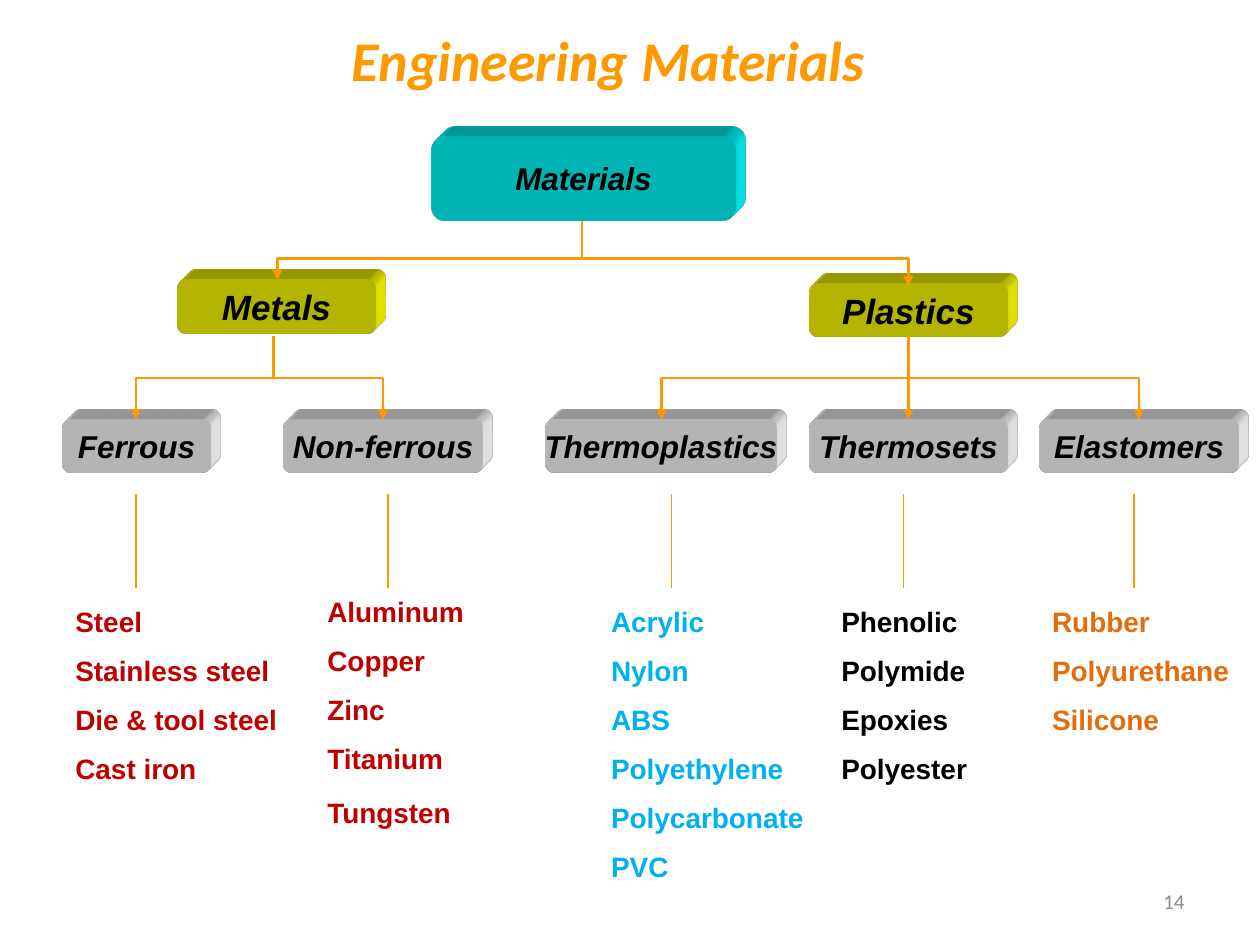
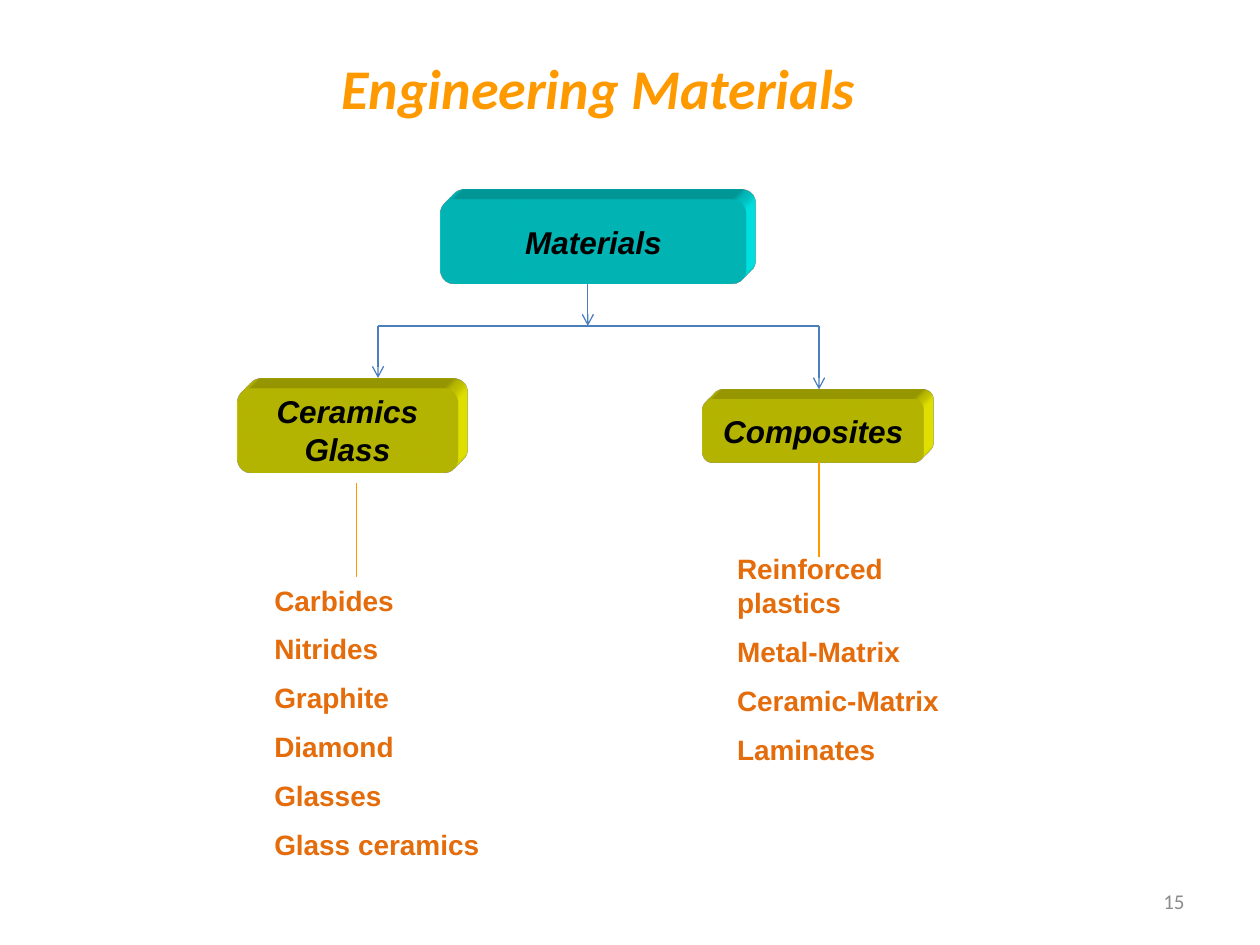
"""Builds two slides that chart the families of engineering materials."""
from lxml.etree import SubElement
from pptx import Presentation
from pptx.dml.color import RGBColor
from pptx.enum.shapes import MSO_CONNECTOR as Link, MSO_SHAPE as Preset
from pptx.enum.text import MSO_ANCHOR as Anchor, PP_ALIGN as Align
from pptx.oxml import parse_xml
from pptx.oxml.ns import nsdecls, qn
from pptx.util import Cm, Pt

ORANGE = RGBColor(0xFF, 0x99, 0x00)
BLUE = RGBColor(0x4B, 0x7E, 0xBC)
CYAN = RGBColor(0x00, 0xFF, 0xFF)
YELLOW = RGBColor(0xFF, 0xFF, 0x00)
WHITE = RGBColor(0xFF, 0xFF, 0xFF)
BLACK = RGBColor(0x00, 0x00, 0x00)
GRAY = RGBColor(0x8C, 0x8C, 0x8C)
RED = RGBColor(0xC0, 0x00, 0x00)
SKY = RGBColor(0x00, 0xB0, 0xF0)
RUST = RGBColor(0xE4, 0x6C, 0x0A)

SCENE = (
    '<a:scene3d {ns}><a:camera prst="legacyObliqueTopRight"/>'
    '<a:lightRig rig="legacyFlat3" dir="b"/></a:scene3d>'
)
SOLID = (
    '<a:sp3d {ns} extrusionH="201600" prstMaterial="legacyMatte">'
    '<a:bevelT w="13500" h="13500" prst="angle"/><a:bevelB w="13500" h="13500" prst="angle"/>'
    '<a:extrusionClr><a:srgbClr val="{color}"/></a:extrusionClr></a:sp3d>'
)


def write(frame, text, size=16, color=BLACK, font="Arial", bold=True, italic=False,
          align=Align.LEFT, anchor=Anchor.TOP, wrap=True, gap=0, last_gap=None):
    lines = text.split("\n")
    frame.word_wrap = wrap
    frame.vertical_anchor = anchor
    for index, line in enumerate(lines):
        para = frame.add_paragraph() if index else frame.paragraphs[0]
        para.alignment = align
        if index:
            is_last = index == len(lines) - 1
            para.space_before = Pt(last_gap if is_last and last_gap else gap)
        span = para.add_run()
        span.text = line
        span.font.name = font
        span.font.size = Pt(size)
        span.font.bold = bold
        span.font.italic = italic
        span.font.color.rgb = color


class Chart:
    def __init__(self, deck):
        self.deck = deck
        self.page = None

    def new_page(self, number, left, top):
        self.page = self.deck.slides.add_slide(self.deck.slide_layouts[5])
        title = self.page.shapes.title
        title.left, title.top, title.width, title.height = map(Cm, (left, top, 22.86, 1.98))
        write(title.text_frame, "Engineering Materials", size=32, color=ORANGE,
              font="Calibri", italic=True, align=Align.CENTER, anchor=Anchor.MIDDLE)
        box = self.page.shapes.add_textbox(Cm(18.21), Cm(17.65), Cm(5.92), Cm(1.02))
        write(box.text_frame, str(number), size=12, color=GRAY, font="Calibri",
              bold=False, align=Align.RIGHT, anchor=Anchor.MIDDLE)

    def block(self, text, left, top, width, height, fill, size=18):
        box = self.page.shapes.add_shape(
            Preset.ROUNDED_RECTANGLE, Cm(left), Cm(top), Cm(width), Cm(height))
        box.fill.solid()
        box.fill.fore_color.rgb = fill
        box.line.fill.background()
        box.shadow.inherit = False
        properties = box._element.spPr
        for effect in (SCENE, SOLID):
            properties.append(parse_xml(effect.format(ns=nsdecls("a"), color=fill)))
        write(box.text_frame, text, size=size, italic=True, align=Align.CENTER,
              anchor=Anchor.MIDDLE, wrap=False)
        return box

    def items(self, text, left, top, width, color, last_gap=None):
        height = 0.6 + 0.95 * text.count("\n") + 0.4
        box = self.page.shapes.add_textbox(Cm(left), Cm(top), Cm(width), Cm(height))
        write(box.text_frame, text, color=color, gap=8.75, last_gap=last_gap)

    def line(self, x1, y1, x2, y2, color=ORANGE, weight=0.75, head=None, kind=Link.STRAIGHT):
        link = self.page.shapes.add_connector(kind, Cm(x1), Cm(y1), Cm(x2), Cm(y2))
        link.line.color.rgb = color
        link.line.width = Pt(weight)
        if head:
            SubElement(link.line._get_or_add_ln(), qn("a:tailEnd"), type=head)
        SubElement(link._element.spPr, qn("a:effectLst"))
        return link

    def elbow(self, x1, y1, x2, y2, bend):
        middle_x, middle_y = (x1 + x2) / 2, (y1 + y2) / 2
        half_drop, half_span = (y2 - y1) / 2, abs(x2 - x1) / 2
        link = self.line(middle_x - half_drop, middle_y - half_span,
                         middle_x + half_drop, middle_y + half_span,
                         weight=1.5, head="triangle", kind=Link.ELBOW)
        properties = link._element.spPr
        frame = properties.find(qn("a:xfrm"))
        if x2 > x1:
            frame.set("rot", str(270 * 60000))
            frame.set("flipH", "1")
        else:
            frame.set("rot", str(90 * 60000))
        geometry = properties.find(qn("a:prstGeom"))
        guides = geometry.find(qn("a:avLst"))
        if guides is None:
            guides = SubElement(geometry, qn("a:avLst"))
        share = round(100000 * (bend - y1) / (y2 - y1))
        SubElement(guides, qn("a:gd"), name="adj1", fmla=f"val {share}")


def build_metals_and_plastics(chart):
    chart.new_page(14, 0.84, 0.2)
    chart.block("Materials", 8.69, 2.74, 6.15, 1.7, CYAN)
    chart.block("Metals", 3.58, 5.64, 3.99, 1.09, YELLOW, size=20)
    plastics = chart.block("Plastics", 16.31, 5.72, 4.01, 1.07, YELLOW, size=20)
    chart.elbow(11.73, 4.5, 18.31, 5.77, bend=5.21)
    chart.elbow(11.73, 4.45, 5.59, 5.64, bend=5.21)

    families = [
        ("Ferrous", 1.27, 2.97, 2.74, 1.27, 12.07, 4.88, RED, None,
         "Steel\nStainless steel\nDie & tool steel\nCast iron"),
        ("Non-ferrous", 5.72, 4.01, 7.82, 6.35, 11.86, 4.02, RED, 11.6,
         "Aluminum\nCopper\nZinc\nTitanium\nTungsten"),
        ("Thermoplastics", 11, 4.65, 13.54, 12.07, 12.07, 4.45, SKY, None,
         "Acrylic\nNylon\nABS\nPolyethylene\nPolycarbonate\nPVC"),
        ("Thermosets", 16.31, 4.01, 18.21, 16.71, 12.07, 3.61, BLACK, None,
         "Phenolic\nPolymide\nEpoxies\nPolyester"),
        ("Elastomers", 20.96, 4.01, 22.86, 20.96, 12.07, 4.45, RUST, None,
         "Rubber\nPolyurethane\nSilicone"),
    ]
    boxes = {}
    for name, left, width, stem, list_left, list_top, list_width, color, last_gap, text in families:
        boxes[name] = chart.block(name, left, 8.46, width, 1.07, WHITE)
        chart.line(stem, 9.96, stem, 11.86)
        chart.items(text, list_left, list_top, list_width, color, last_gap)

    for start, end in [(5.51, 2.74), (5.51, 7.72), (18.31, 13.34), (18.31, 22.96)]:
        chart.elbow(start, 6.78, end, 8.46, bend=7.62)
    drop = chart.line(18.31, 6.78, 18.31, 8.46, weight=1.5, head="triangle")
    drop.begin_connect(plastics, 2)
    drop.end_connect(boxes["Thermosets"], 0)


def build_ceramics_and_composites(chart):
    chart.new_page(15, 0.64, 0.76)
    chart.block("Materials", 8.89, 4.02, 6.15, 1.7, CYAN)
    chart.block("Ceramics\nGlass", 4.78, 7.82, 4.45, 1.7, YELLOW)
    chart.block("Composites", 14.17, 8.05, 4.45, 1.27, YELLOW)
    chart.line(7.19, 9.73, 7.19, 11.63)
    chart.line(16.51, 9.32, 16.51, 11.23)
    chart.items("Carbides\nNitrides\nGraphite\nDiamond\nGlasses\nGlass ceramics",
                5.28, 11.63, 5.05, RUST)
    chart.items("Reinforced plastics\nMetal-Matrix\nCeramic-Matrix\nLaminates",
                14.61, 11, 4.65, RUST)
    rail = 6.57
    chart.line(7.62, rail, 16.51, rail, BLUE)
    for x, top, bottom in [(7.62, rail, 7.62), (16.51, rail, 7.85), (11.85, 5.72, rail)]:
        chart.line(x, top, x, bottom, BLUE, head="arrow")


def main():
    deck = Presentation()
    deck.slide_width, deck.slide_height = Cm(25.4), Cm(19.05)
    chart = Chart(deck)
    build_metals_and_plastics(chart)
    build_ceramics_and_composites(chart)
    deck.save("out.pptx")


if __name__ == "__main__":
    main()
